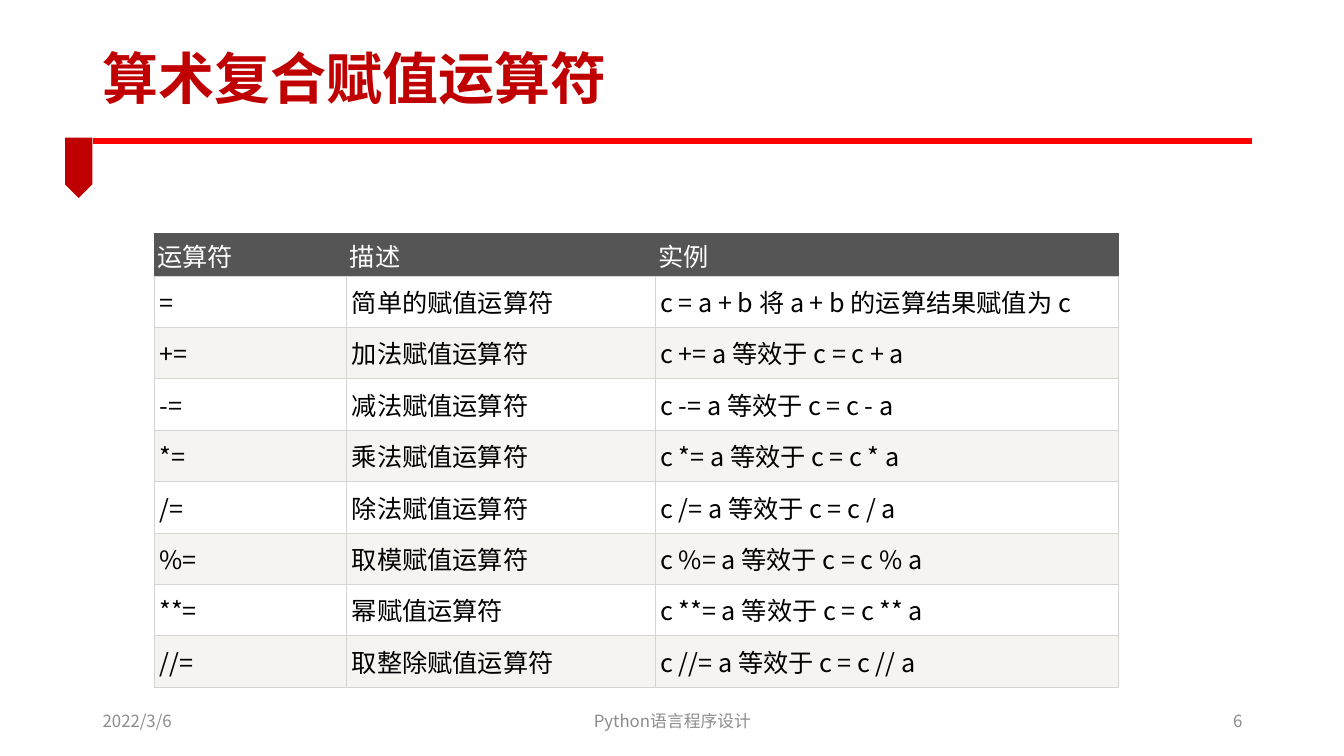
from dataclasses import dataclass

from lxml.etree import SubElement
from pptx import Presentation
from pptx.dml.color import RGBColor
from pptx.enum.shapes import MSO_CONNECTOR as Connector, MSO_SHAPE as Shape
from pptx.enum.text import MSO_ANCHOR as Anchor, PP_ALIGN as Align
from pptx.oxml import parse_xml
from pptx.oxml.ns import nsdecls, qn
from pptx.slide import Slide
from pptx.table import _Cell as Cell
from pptx.text.text import _Paragraph as Paragraph
from pptx.util import Inches, Pt


@dataclass(frozen=True)
class Theme:
    font: str = "Noto Sans CJK SC"
    title_color: str = "C00000"
    rule_color: str = "FF0000"
    footer_color: str = "8C8C8C"
    header_fill: str = "555555"
    header_text: str = "FFFFFF"
    body_text: str = "000000"
    band_fills: tuple[str, str] = ("FFFFFF", "F6F4F0")
    border_color: str = "D4D4D4"
    border_width: float = 0.75
    title_size: int = 40
    table_size: int = 18
    footer_size: int = 12


@dataclass(frozen=True)
class Label:
    text: str
    left: float
    top: float
    width: float
    height: float
    size: int
    color: str
    align: Align = Align.LEFT
    bold: bool = False
    line_spacing: float = 1.0


@dataclass(frozen=True)
class CellStyle:
    fill: str
    text_color: str
    margin_x: float
    margin_y: float
    borders: dict[str, str]


THEME = Theme()
FOOTER = {"top": 6.95, "height": 0.4, "size": THEME.footer_size, "color": THEME.footer_color}
LABELS = [
    Label("算术复合赋值运算符", 0.92, 0.35, 8.65, 0.92, THEME.title_size, THEME.title_color,
          bold=True, line_spacing=0.9),
    Label("2022/3/6", left=0.92, width=3, **FOOTER),
    Label("Python语言程序设计", left=4.42, width=4.5, align=Align.CENTER, **FOOTER),
    Label("6", left=9.42, width=3, align=Align.RIGHT, **FOOTER),
]

HEADERS = ("运算符", "描述", "实例")
OPERATIONS = {
    "+": "加法",
    "-": "减法",
    "*": "乘法",
    "/": "除法",
    "%": "取模",
    "**": "幂",
    "//": "取整除",
}
ROWS = [
    HEADERS,
    ("=", "简单的赋值运算符", "c = a + b 将 a + b 的运算结果赋值为 c"),
    *((f"{sign}=", f"{name}赋值运算符", f"c {sign}= a 等效于 c = c {sign} a")
      for sign, name in OPERATIONS.items()),
]
COLUMN_WIDTHS = (1.91, 3.06, 4.59)
HEADER_HEIGHT, ROW_HEIGHT = 0.42, 0.51

BODY_BORDERS = dict.fromkeys("LRTB", THEME.border_color)
HEADER_BORDERS = dict.fromkeys("LRT", THEME.header_fill) | {"B": THEME.border_color}
HEADER_STYLE = CellStyle(THEME.header_fill, THEME.header_text, 0.03, 0.03, HEADER_BORDERS)
BAND_STYLES = [CellStyle(fill, THEME.body_text, 0.05, 0.07, BODY_BORDERS)
               for fill in THEME.band_fills]


def set_attributes(target: object, values: dict[str, object]) -> None:
    for name, value in values.items():
        setattr(target, name, value)


def write_text(paragraph: Paragraph, text: str, size: int, color: str, bold: bool = False) -> None:
    run = paragraph.add_run()
    run.text = text
    run.font.color.rgb = RGBColor.from_string(color)
    set_attributes(run.font, {"size": Pt(size), "bold": bold, "name": THEME.font})
    SubElement(run.font._element, qn("a:ea"), typeface=THEME.font)


def add_label(slide: Slide, label: Label) -> None:
    bounds = (label.left, label.top, label.width, label.height)
    frame = slide.shapes.add_textbox(*map(Inches, bounds)).text_frame
    set_attributes(frame, {"word_wrap": True, "vertical_anchor": Anchor.MIDDLE})
    paragraph = frame.paragraphs[0]
    set_attributes(paragraph, {"alignment": label.align, "line_spacing": label.line_spacing})
    write_text(paragraph, label.text, label.size, label.color, label.bold)


def add_title_rule(slide: Slide) -> None:
    """Draw the red line under the title and the ribbon hanging from its left end."""
    ends = (0.92, 1.4, 12.42, 1.4)
    rule = slide.shapes.add_connector(Connector.STRAIGHT, *map(Inches, ends))
    rule.line.color.rgb = RGBColor.from_string(THEME.rule_color)
    rule.line.width = Pt(4.5)
    SubElement(rule._element.spPr, qn("a:effectLst"))

    bounds = (0.48, 1.53, 0.6, 0.27)
    ribbon = slide.shapes.add_shape(Shape.PENTAGON, *map(Inches, bounds))
    ribbon.rotation = 90
    ribbon.shadow.inherit = False
    ribbon.fill.solid()
    ribbon.fill.fore_color.rgb = RGBColor.from_string(THEME.title_color)
    ribbon.line.fill.background()


def set_borders(cell: Cell, borders: dict[str, str]) -> None:
    properties = cell._tc.get_or_add_tcPr()
    for position, (side, color) in enumerate(borders.items()):
        properties.insert(position, parse_xml(
            f'<a:ln{side} {nsdecls("a")} w="{Pt(THEME.border_width)}">'
            f'<a:solidFill><a:srgbClr val="{color}"/></a:solidFill></a:ln{side}>'))


def fill_cell(cell: Cell, text: str, style: CellStyle) -> None:
    margin_x, margin_y = Inches(style.margin_x), Inches(style.margin_y)
    set_attributes(cell, {
        "margin_left": margin_x,
        "margin_right": margin_x,
        "margin_top": margin_y,
        "margin_bottom": margin_y,
    })
    cell.fill.solid()
    cell.fill.fore_color.rgb = RGBColor.from_string(style.fill)
    set_borders(cell, style.borders)
    write_text(cell.text_frame.paragraphs[0], text, THEME.table_size, style.text_color)


def add_operator_table(slide: Slide) -> None:
    heights = [HEADER_HEIGHT] + [ROW_HEIGHT] * (len(ROWS) - 1)
    bounds = (1.53, 2.32, sum(COLUMN_WIDTHS), sum(heights))
    table = slide.shapes.add_table(len(ROWS), len(HEADERS), *map(Inches, bounds)).table
    set_attributes(table, {"first_row": False, "horz_banding": False})
    for column, width in zip(table.columns, COLUMN_WIDTHS):
        column.width = Inches(width)
    for index, (row, height, texts) in enumerate(zip(table.rows, heights, ROWS)):
        row.height = Inches(height)
        style = BAND_STYLES[(index - 1) % 2] if index else HEADER_STYLE
        for cell, text in zip(row.cells, texts):
            fill_cell(cell, text, style)


def main() -> None:
    presentation = Presentation()
    set_attributes(presentation, {"slide_width": Inches(13.33), "slide_height": Inches(7.5)})
    slide = presentation.slides.add_slide(presentation.slide_layouts[6])
    add_title_rule(slide)
    for label in LABELS:
        add_label(slide, label)
    add_operator_table(slide)
    presentation.save("out.pptx")


if __name__ == "__main__":
    main()
